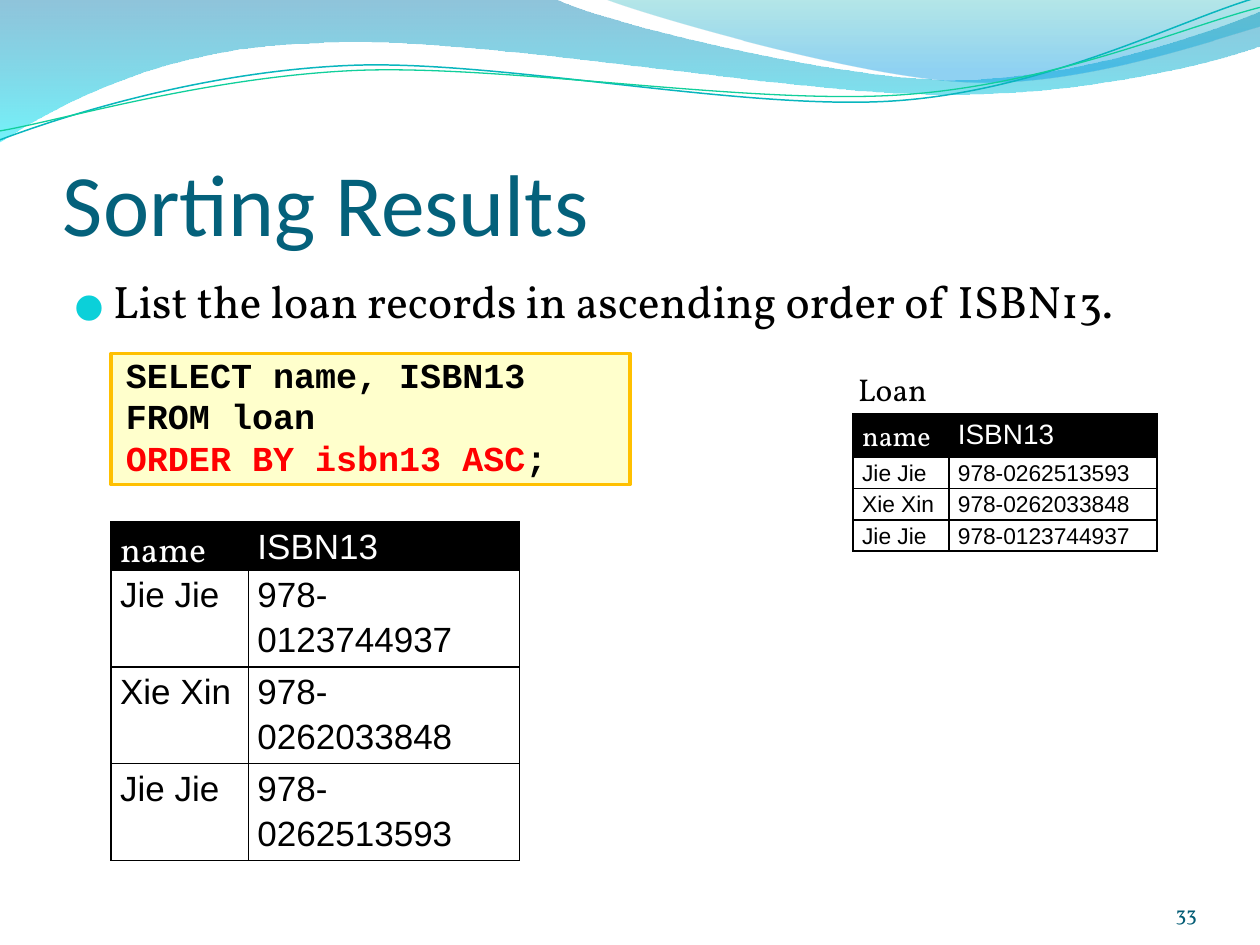
import pptx
import pptx.dml.color
import pptx.enum.shapes
import pptx.enum.text
import pptx.oxml.ns
import pptx.util
from lxml import etree

Cm = pptx.util.Cm
Pt = pptx.util.Pt
RGBColor = pptx.dml.color.RGBColor
ANCHOR = pptx.enum.text.MSO_ANCHOR
ALIGN = pptx.enum.text.PP_ALIGN
qn = pptx.oxml.ns.qn

BLACK = RGBColor(0x00, 0x00, 0x00)
WHITE = RGBColor(0xFF, 0xFF, 0xFF)
RED = RGBColor(0xFF, 0x00, 0x00)
TITLE_BLUE = RGBColor(0x04, 0x61, 0x7B)
NUMBER_BLUE = RGBColor(0x03, 0x5C, 0x75)
BULLET_CYAN = RGBColor(0x0B, 0xD0, 0xD9)
CODE_YELLOW = RGBColor(0xFF, 0xFF, 0xCC)
CODE_BORDER = RGBColor(0xFF, 0xC0, 0x00)
WAVE_BLUE = RGBColor(0x00, 0x79, 0xAD)
WAVE_CYAN = RGBColor(0x00, 0xE9, 0xF7)
CREST_TEAL = RGBColor(0x00, 0xAB, 0xB4)
CREST_BLUE = RGBColor(0x00, 0x99, 0xE4)
STRAND_TEAL = RGBColor(0x09, 0xB6, 0xBE)
STRAND_GREEN = RGBColor(0x10, 0xCF, 0x9B)

WAVE = [(0, 0), (11.18, -0.03),
        (12.09, 0.43, 16.87, 1.6, 19.25, 1.6),
        (21.67, 1.6, 24.33, 0.66, 25.4, 0.23), (25.43, 0.91),
        (24.97, 1.12, 22.1, 1.93, 18.95, 1.9),
        (15.8, 1.9, 9.7, 0.71, 6.53, 0.86),
        (3.28, 0.91, 1.17, 2.11, -0.03, 2.87), (0, 0)]
CREST = [(12.17, -0.03),
         (12.93, 0.28, 17.32, 1.57, 19.53, 1.65),
         (21.74, 1.75, 24.41, 0.81, 25.4, 0.53), (25.4, 0), (12.17, -0.03)]
TEAL_STRAND = [(0, 2.82),
               (1.22, 2.36, 4.01, 1.45, 7.04, 1.32),
               (10.03, 1.19, 15.06, 2.26, 18.11, 2.03),
               (21.16, 1.8, 23.83, 0.38, 25.35, -0.05)]
GREEN_STRAND = [(0, 2.64),
                (1.19, 2.44, 4.17, 1.55, 7.19, 1.42),
                (10.24, 1.3, 15.16, 2.13, 18.21, 1.91),
                (21.23, 1.7, 23.9, 0.53, 25.4, 0.15)]


def write(paragraph, text, font="Vollkorn", size=18, color=BLACK, bold=False,
          align=ALIGN.LEFT, spacing=None):
    paragraph.alignment = align
    if spacing:
        paragraph.line_spacing = spacing
    run = paragraph.add_run()
    run.text = text
    run.font.name = font
    run.font.size = Pt(size)
    run.font.bold = bold
    run.font.color.rgb = color


class LessonSlide:
    def __init__(self, deck):
        self.slide = deck.slides.add_slide(deck.slide_layouts[6])
        self.shapes = self.slide.shapes

    def outline(self, steps, close):
        points = [(Cm(x), Cm(y)) for step in steps for x, y in zip(step[::2], step[1::2])]
        builder = self.shapes.build_freeform(*points[0])
        builder.add_line_segments(points[1:], close=close)
        curve = builder.convert_to_shape()
        curve.shadow.inherit = False
        segments = iter(list(curve._element.iter(qn("a:lnTo"))))
        for step in steps[1:]:
            segment = next(segments)
            if len(step) == 6:
                segment.addprevious(bend := etree.Element(qn("a:cubicBezTo")))
                for corner in (segment, next(segments), next(segments)):
                    bend.append(corner[0])
                    corner.getparent().remove(corner)
        return curve

    def wave(self, steps, stops):
        wave = self.outline(steps, True)
        wave.line.fill.background()
        wave.fill.gradient()
        wave.fill.gradient_angle = 270
        for stop, (position, color, _) in zip(wave.fill.gradient_stops, stops):
            stop.position = position
            stop.color.rgb = color
        for tint, (_, _, opacity) in zip(wave._element.iter(qn("a:srgbClr")), stops):
            etree.SubElement(tint, qn("a:alpha"), val=str(opacity * 1000))

    def strand(self, steps, color, width):
        strand = self.outline(steps, False)
        strand.fill.background()
        strand.line.color.rgb = color
        strand.line.width = Pt(width)

    def frame(self, shape, insets, anchor):
        frame = shape.text_frame
        frame.word_wrap = True
        frame.vertical_anchor = anchor
        (frame.margin_left, frame.margin_top,
         frame.margin_right, frame.margin_bottom) = map(Cm, insets)
        return frame

    def text(self, place, text, insets=(0.25, 0.13, 0.25, 0.13), anchor=ANCHOR.TOP,
             bullet=None, **style):
        box = self.shapes.add_textbox(*map(Cm, place))
        paragraph = self.frame(box, insets, anchor).paragraphs[0]
        if bullet:
            properties = paragraph._p.get_or_add_pPr()
            properties.set("marL", str(Cm(0.76)))
            properties.set("indent", str(Cm(-0.76)))
            tint = etree.SubElement(properties, qn("a:buClr"))
            etree.SubElement(tint, qn("a:srgbClr"), val=str(BULLET_CYAN))
            etree.SubElement(properties, qn("a:buFont"), typeface="Noto Sans Symbols")
            etree.SubElement(properties, qn("a:buChar"), char=bullet)
        write(paragraph, text, **style)

    def code(self, place, lines):
        box = self.shapes.add_shape(pptx.enum.shapes.MSO_SHAPE.RECTANGLE, *map(Cm, place))
        box.shadow.inherit = False
        box.fill.solid()
        box.fill.fore_color.rgb = CODE_YELLOW
        box.line.color.rgb = CODE_BORDER
        box.line.width = Pt(2)
        statement = self.frame(box, (0.3, 0, 0.25, 0.13), ANCHOR.TOP).paragraphs[0]
        for index, line in enumerate(lines):
            if index:
                statement.add_line_break()
            for text, color in line:
                write(statement, text, font="Courier New", size=20, color=color,
                      bold=True, spacing=Pt(23.8))

    def border(self, cell):
        properties = cell._tc.get_or_add_tcPr()
        for index, side in enumerate(("a:lnL", "a:lnR", "a:lnT", "a:lnB")):
            edge = etree.Element(qn(side), w=str(Pt(1)))
            fill = etree.SubElement(edge, qn("a:solidFill"))
            etree.SubElement(fill, qn("a:srgbClr"), val=str(BLACK))
            properties.insert(index, edge)

    def table(self, left, top, widths, heights, records, head_size, size):
        rows = [("name", "ISBN13")] + records
        holder = self.shapes.add_table(len(rows), len(widths), Cm(left), Cm(top),
                                       Cm(sum(widths)), Cm(sum(heights)))
        table = holder.table
        table.first_row = table.horz_banding = False
        for column, width in zip(table.columns, widths):
            column.width = Cm(width)
        for r, (row, height) in enumerate(zip(rows, heights)):
            table.rows[r].height = Cm(height)
            for c, text in enumerate(row):
                cell = table.cell(r, c)
                cell.margin_left = cell.margin_right = Cm(0.18)
                cell.margin_top = cell.margin_bottom = 0
                if r == 0:
                    cell.fill.solid()
                    cell.fill.fore_color.rgb = BLACK
                else:
                    cell.fill.background()
                self.border(cell)
                write(cell.text_frame.paragraphs[0], text, spacing=1.15,
                      font="Arial" if r or c else "Vollkorn",
                      size=size if r else head_size, color=BLACK if r else WHITE)
        holder.width = holder.height = Cm(8.33)


def main():
    deck = pptx.Presentation()
    deck.slide_width, deck.slide_height = Cm(25.4), Cm(19.05)
    lesson = LessonSlide(deck)

    lesson.wave(WAVE, [(0, WAVE_BLUE, 44), (1, WAVE_CYAN, 55)])
    lesson.wave(CREST, [(0, CREST_TEAL, 29), (0.8, CREST_BLUE, 44)])
    lesson.strand(TEAL_STRAND, STRAND_TEAL, 0.85)
    lesson.strand(GREEN_STRAND, STRAND_GREEN, 0.75)

    lesson.text((1.27, 5.38, 22.86, 12.19),
                "List the loan records in ascending order of ISBN13.", size=26, bullet="⚫")
    lesson.text((1.27, 1.95, 22.86, 3.18), "Sorting Results", insets=(0, 0.13, 0, 0),
                anchor=ANCHOR.BOTTOM, font="Calibri", size=50, color=TITLE_BLUE)
    lesson.text((22.02, 17.65, 2.11, 1.02), "33", insets=(0, 0, 0, 0),
                anchor=ANCHOR.BOTTOM, size=12, color=NUMBER_BLUE, align=ALIGN.RIGHT)
    lesson.code((2.24, 7.13, 10.46, 2.64),
                [[("SELECT name, ISBN13 FROM loan ", BLACK)],
                 [("ORDER BY isbn13 ASC", RED), (";", BLACK)]])

    loans = [("Jie Jie", "978-0262513593"),
             ("Xie Xin", "978-0262033848"),
             ("Jie Jie", "978-0123744937")]
    lesson.table(17.2, 8.35, (1.93, 4.19), (0.86, 0.46, 0.46, 0.46), loans, 16, 13)
    lesson.text((17.05, 7.32, 4.39, 1.02), "Loan")
    by_isbn = sorted(loans, key=lambda loan: loan[1])
    lesson.table(2.24, 10.52, (2.77, 5.46), (0.86, 0.71, 0.71, 0.71), by_isbn, 20, 20)

    deck.save("out.pptx")


if __name__ == "__main__":
    main()
